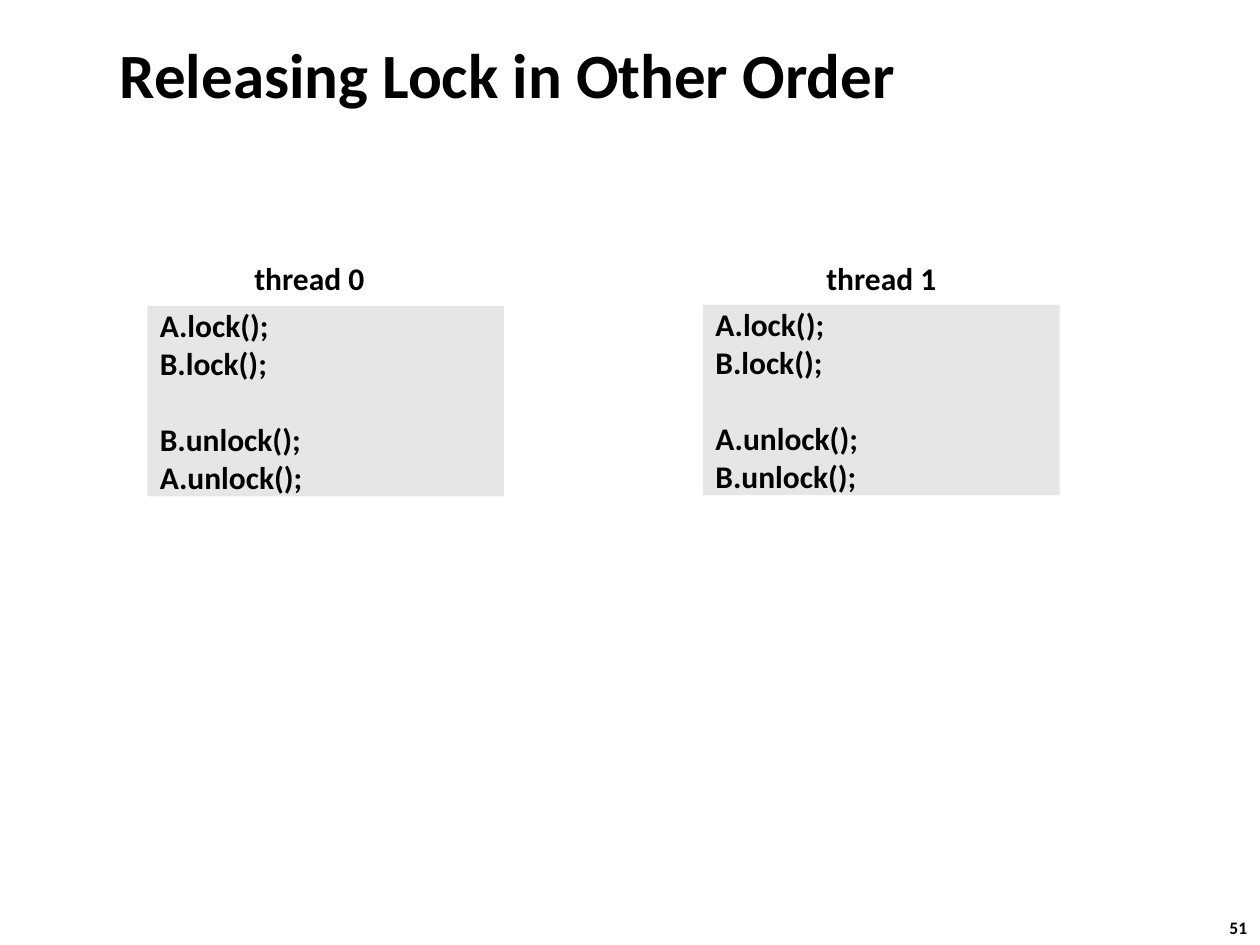
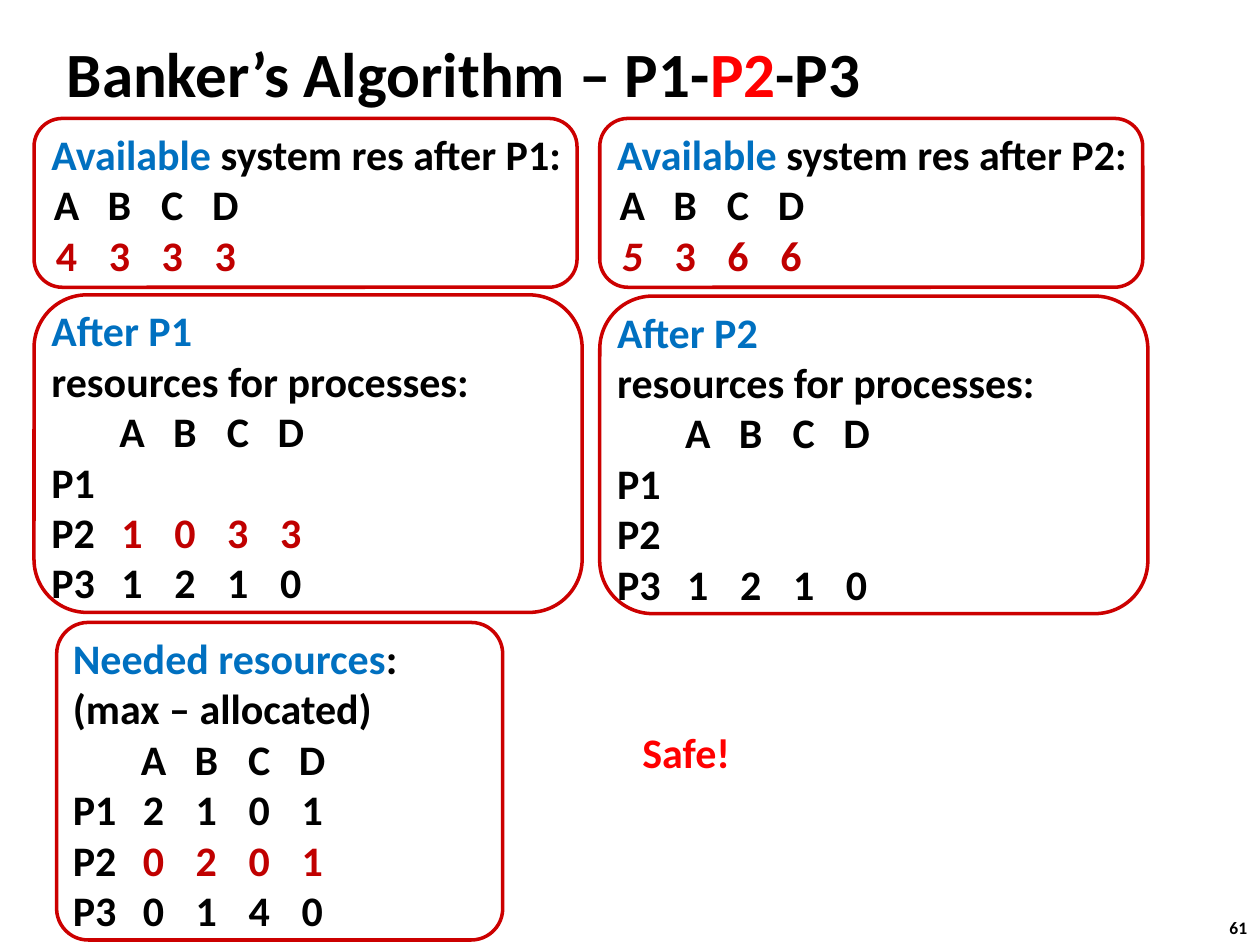
from dataclasses import dataclass
from typing import NamedTuple

from lxml import etree
from pptx import Presentation
from pptx.dml.color import RGBColor
from pptx.enum.shapes import MSO_SHAPE
from pptx.enum.text import MSO_ANCHOR, MSO_AUTO_SIZE, PP_ALIGN
from pptx.oxml.ns import qn
from pptx.util import Inches, Pt

RECT = MSO_SHAPE.RECTANGLE
ROUND = MSO_SHAPE.ROUNDED_RECTANGLE
LEFT = PP_ALIGN.LEFT
TOP = MSO_ANCHOR.TOP
MIDDLE = MSO_ANCHOR.MIDDLE
FIXED = MSO_AUTO_SIZE.NONE

FONT = "Calibri"
INK = {
    "black": "000000",
    "blue": "0070C0",
    "deep": "C00000",
    "red": "FF0000",
    "edge": "CC0000",
    "grey": "E6E6E6",
}
COLS = 4
STEP = 0.42
HEAD = "\tA\tB\tC\tD"


class Part(NamedTuple):
    text: str
    ink: str = "black"
    slant: bool = False


class Box(NamedTuple):
    left: float
    top: float
    width: float
    height: float


Line = tuple[Part, ...]


@dataclass
class Code:
    name: str
    label: Box
    block: Box
    locks: list[str]
    frees: list[str]


@dataclass
class Card:
    frame: Box
    text: Box
    lines: list[Line]
    start: float
    curve: float = 0.167


def place(box: Box) -> list[int]:
    return [Inches(side) for side in box]


def color(name: str) -> RGBColor:
    return RGBColor.from_string(INK[name])


def write(para, parts: Line, size: float) -> None:
    para.alignment = LEFT
    for part in parts:
        run = para.add_run()
        run.text = part.text
        font = run.font
        font.name, font.size, font.bold = FONT, Pt(size), True
        font.italic = part.slant
        font.color.rgb = color(part.ink)


def fill(frame, lines: list[Line], size: float) -> None:
    for i, parts in enumerate(lines):
        para = frame.add_paragraph() if i else frame.paragraphs[0]
        write(para, parts, size)


def label(slide, box: Box, lines: list[Line], size: float):
    frame = slide.shapes.add_textbox(*place(box)).text_frame
    frame.word_wrap = False
    fill(frame, lines, size)
    return frame


def set_tabs(para, start: float) -> None:
    tabs = etree.SubElement(para._p.get_or_add_pPr(), qn("a:tabLst"))
    for col in range(COLS):
        stop = etree.SubElement(tabs, qn("a:tab"))
        stop.set("pos", str(Inches(start + col * STEP)))
        stop.set("algn", "ctr")


def new_slide(deck, box: Box, title: Line, page: int):
    slide = deck.slides.add_slide(deck.slide_layouts[5])
    head = slide.shapes.title
    head.left, head.top, head.width, head.height = place(box)
    frame = head.text_frame
    frame.auto_size = FIXED
    frame.vertical_anchor = MIDDLE
    fill(frame, [title], 36)
    label(slide, Box(9.66, 7.23, 0.37, 0.27), [(Part(str(page)),)], 10)
    return slide


def draw_code(slide, code: Code) -> None:
    block = slide.shapes.add_shape(RECT, *place(code.block))
    block.shadow.inherit = False
    block.fill.solid()
    block.fill.fore_color.rgb = color("grey")
    block.line.fill.background()
    frame = block.text_frame
    frame.word_wrap = True
    frame.vertical_anchor = TOP
    frame.margin_top = frame.margin_bottom = 0
    fill(frame, [(Part(row),) for row in code.locks + code.frees], 18)
    frame.paragraphs[len(code.locks)].space_before = Pt(22)
    label(slide, code.label, [(Part(code.name),)], 18)


def draw_card(slide, card: Card) -> None:
    edge = slide.shapes.add_shape(ROUND, *place(card.frame))
    edge.adjustments[0] = card.curve
    edge.shadow.inherit = False
    edge.fill.background()
    edge.line.color.rgb = color("edge")
    edge.line.width = Pt(2)
    frame = label(slide, card.text, card.lines, 24)
    for para in frame.paragraphs:
        if "\t" in para.text:
            set_tabs(para, card.start)


def cells(row: str) -> str:
    return "".join("\t" + cell for cell in row)


def proc(name: str, row: str = "", ink: str = "black") -> Line:
    return (Part(name), Part(cells(row), ink)) if row else (Part(name),)


def free_card(left: float, top: float, name: str, row: Line) -> Card:
    lines = [
        (Part("Available", "blue"), Part(f" system res after {name}:")),
        (Part(HEAD),),
        row,
    ]
    return Card(Box(left, top, 4.31, 1.34),
                Box(left + 0.04, top + 0.03, 4.37, 1.31), lines, 0.12)


def proc_card(left: float, top: float, name: str, rows: list[Line]) -> Card:
    lines = [
        (Part(f"After {name}", "blue"),),
        (Part("resources for processes:"),),
        (Part(HEAD),),
        *rows,
    ]
    return Card(Box(left, top, 4.35, 2.52),
                Box(left + 0.04, top + 0.03, 3.63, 2.52), lines, 0.64)


def lock_slide(deck) -> None:
    slide = new_slide(deck, Box(0.85, 0.17, 8.3, 0.83),
                      (Part("Releasing Lock in Other Order"),), 51)
    locks = ["A.lock();", "B.lock();"]
    frees = ["B.unlock();", "A.unlock();"]
    for code in (
        Code("thread 0", Box(1.92, 2.01, 1.08, 0.4),
             Box(1.17, 2.43, 2.83, 1.51), locks, frees),
        Code("thread 1", Box(6.46, 2.01, 1.08, 0.4),
             Box(5.58, 2.42, 2.83, 1.51), locks, frees[::-1]),
    ):
        draw_code(slide, code)


def bank_slide(deck) -> None:
    title = (Part("Banker’s Algorithm – P1-"), Part("P2", "red"), Part("-P3"))
    slide = new_slide(deck, Box(0.43, 0.16, 8.3, 0.83), title, 61)
    last = proc("P3", "1210")
    need = [
        (Part("Needed resources", "blue"), Part(":")),
        (Part("(max – allocated)"),),
        (Part(HEAD),),
        proc("P1", "2101"),
        proc("P2", "0201", "deep"),
        proc("P3", "0140"),
    ]
    after = (Part("\t", "deep"), Part("5", "deep", True),
             Part(cells("366"), "deep"))
    for card in (
        Card(Box(0.45, 4.94, 3.54, 2.52), Box(0.48, 4.97, 2.8, 2.52),
             need, 0.64, 0.099),
        proc_card(4.76, 2.35, "P2", [proc("P1"), proc("P2"), last]),
        free_card(4.76, 0.94, "P2", after),
        proc_card(0.27, 2.34, "P1",
                  [proc("P1"), proc("P2", "1033", "deep"), last]),
        free_card(0.27, 0.94, "P1", (Part(cells("4333"), "deep"),)),
    ):
        draw_card(slide, card)
    label(slide, Box(5, 5.72, 0.91, 0.5), [(Part("Safe!", "red"),)], 24)


def main() -> None:
    deck = Presentation()
    deck.slide_width, deck.slide_height = Inches(10), Inches(7.5)
    lock_slide(deck)
    bank_slide(deck)
    deck.save("out.pptx")


if __name__ == "__main__":
    main()
